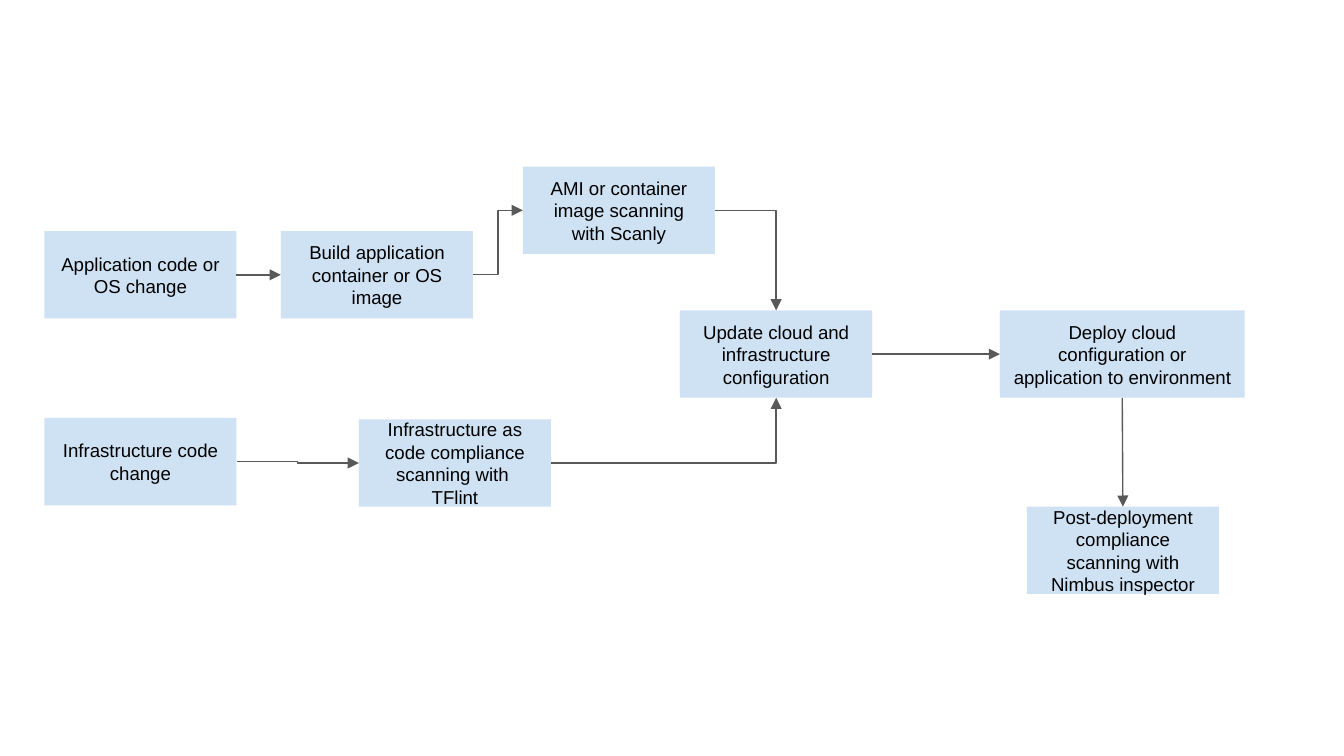
from lxml import etree
from pptx import Presentation
from pptx.dml.color import RGBColor
from pptx.enum.shapes import MSO_CONNECTOR, MSO_SHAPE
from pptx.enum.text import MSO_ANCHOR, PP_ALIGN
from pptx.oxml.ns import qn
from pptx.util import Inches, Pt

COLORS = {"box": "CFE2F3", "line": "595959", "text": "000000"}
SLIDE_WIDTH = 10
BOX_WIDTH, BOX_HEIGHT = 1.43, 0.65
TOP, LEFT, BOTTOM, RIGHT = range(4)


class FlowSlide:
    """Draws styled boxes and arrows on one slide."""

    font = "Arial"
    size = 10
    inset = 0.1
    line_width = 0.75

    def __init__(self, slide):
        self.slide = slide

    def color(self, name):
        return RGBColor.from_string(COLORS[name])

    def box(self, text, left, top, width=BOX_WIDTH):
        shape = self.slide.shapes.add_shape(
            MSO_SHAPE.RECTANGLE, Inches(left), Inches(top), Inches(width), Inches(BOX_HEIGHT))
        shape.shadow.inherit = False
        shape.fill.solid()
        shape.fill.fore_color.rgb = self.color("box")
        shape.line.fill.background()
        text_frame = shape.text_frame
        text_frame.word_wrap = True
        text_frame.vertical_anchor = MSO_ANCHOR.MIDDLE
        for side in ("left", "top", "right", "bottom"):
            setattr(text_frame, f"margin_{side}", Inches(self.inset))
        text_frame.text = text
        for paragraph in text_frame.paragraphs:
            paragraph.alignment = PP_ALIGN.CENTER
            for run in paragraph.runs:
                run.font.name = self.font
                run.font.size = Pt(self.size)
                run.font.color.rgb = self.color("text")
        return shape

    def arrow(self, start, start_side, end, end_side):
        straight = start_side == BOTTOM
        kind = MSO_CONNECTOR.STRAIGHT if straight else MSO_CONNECTOR.ELBOW
        connector = self.slide.shapes.add_connector(kind, 0, 0, 0, 0)
        connector.begin_connect(start, start_side)
        connector.end_connect(end, end_side)
        connector.line.color.rgb = self.color("line")
        connector.line.width = Pt(self.line_width)
        properties = connector._element.spPr
        if start_side == RIGHT and end_side in (TOP, BOTTOM):
            properties.find(qn("a:prstGeom")).set("prst", "bentConnector2")
        etree.SubElement(properties.find(qn("a:ln")), qn("a:tailEnd"), type="triangle")
        etree.SubElement(properties, qn("a:effectLst"))
        return connector


presentation = Presentation()
presentation.slide_width = Inches(SLIDE_WIDTH)
presentation.slide_height = Inches(SLIDE_WIDTH * 9 / 16)
flow = FlowSlide(presentation.slides.add_slide(presentation.slide_layouts[6]))

BOXES = {
    "build": ("Build application container or OS image", 2.09, 1.72),
    "deploy": ("Deploy cloud configuration or application to environment", 7.44, 2.31, 1.82),
    "update": ("Update cloud and infrastructure configuration", 5.06, 2.31),
    "application": ("Application code or OS change", 0.33, 1.72),
    "infrastructure": ("Infrastructure code change", 0.33, 3.11),
    "compliance": ("Infrastructure as code compliance scanning with \nTFlint", 2.67, 3.12),
    "image_scan": ("AMI or container image scanning\nwith Scanly", 3.89, 1.24),
    "post_deployment": (
        "Post-deployment compliance scanning with Nimbus inspector", 7.64, 3.77),
}
ARROWS = [
    ("application", RIGHT, "build", LEFT),
    ("infrastructure", RIGHT, "compliance", LEFT),
    ("build", RIGHT, "image_scan", LEFT),
    ("update", RIGHT, "deploy", LEFT),
    ("compliance", RIGHT, "update", BOTTOM),
    ("image_scan", RIGHT, "update", TOP),
    ("deploy", BOTTOM, "post_deployment", TOP),
]

boxes = {name: flow.box(*values) for name, values in BOXES.items()}
for start, start_side, end, end_side in ARROWS:
    flow.arrow(boxes[start], start_side, boxes[end], end_side)

presentation.save("out.pptx")
